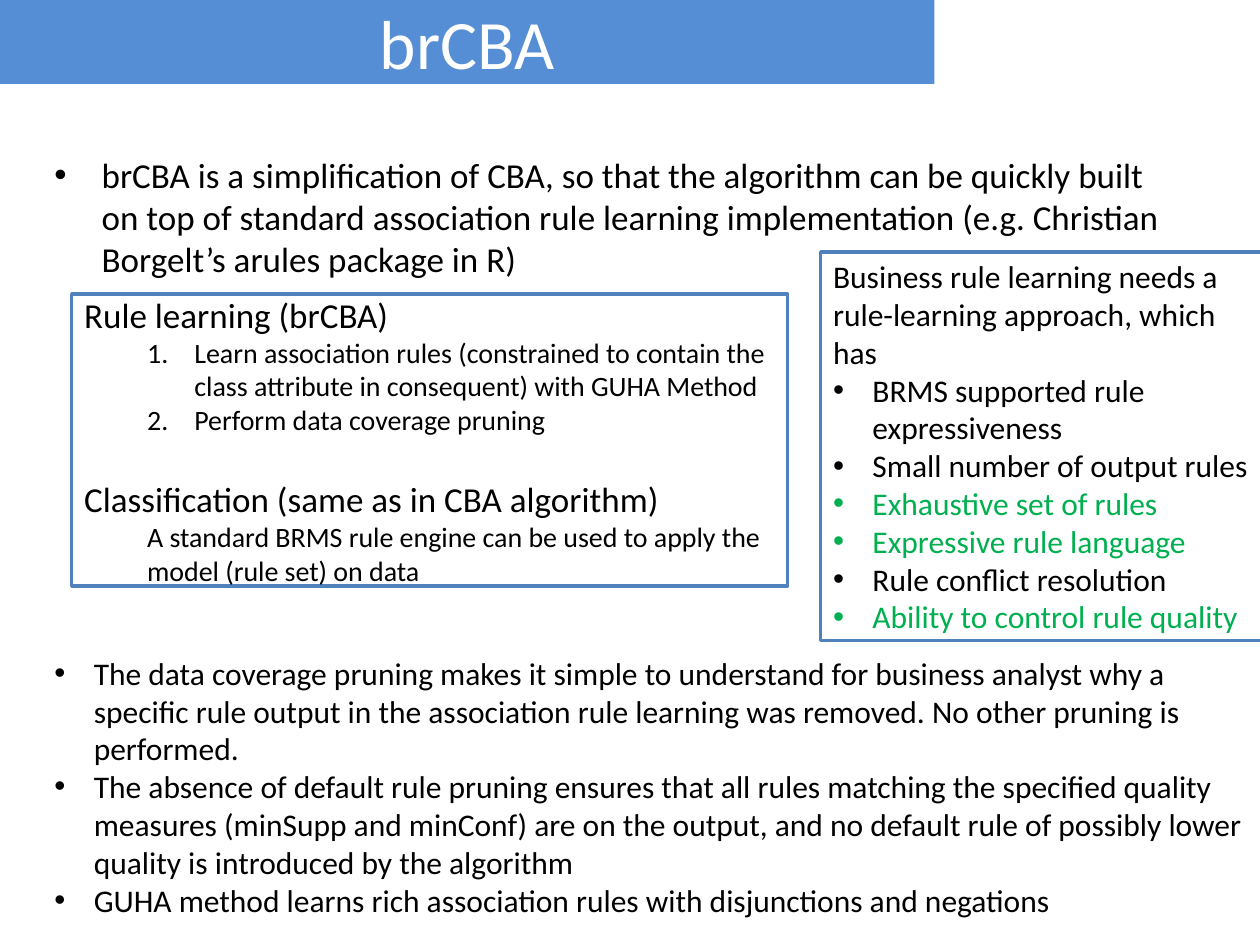
from dataclasses import dataclass

from lxml import etree
from pptx import Presentation
from pptx.dml.color import RGBColor
from pptx.enum import shapes, text
from pptx.oxml import ns
from pptx.util import Pt


@dataclass(frozen=True)
class Theme:
    font: str = "Calibri"
    banner: RGBColor = RGBColor(0x55, 0x8E, 0xD5)
    border: RGBColor = RGBColor(0x4F, 0x81, 0xBD)
    ink: RGBColor = RGBColor(0, 0, 0)
    paper: RGBColor = RGBColor(255, 255, 255)
    met: RGBColor = RGBColor(0x00, 0xB0, 0x50)
    title: float = 39.6
    lead: float = 20
    body: float = 18
    step: float = 16


THEME = Theme()

INTRO = (
    "brCBA is a simplification of CBA, so that the algorithm can be quickly built on top of "
    "standard association rule learning implementation (e.g. Christian Borgelt’s arules package in R)"
)
STEPS = [
    "Learn association rules (constrained to contain the class attribute in consequent) with GUHA Method",
    "Perform data coverage pruning",
]
NEEDS = [
    ("BRMS supported rule expressiveness", THEME.ink),
    ("Small number of output rules", THEME.ink),
    ("Exhaustive set of rules", THEME.met),
    ("Expressive rule language", THEME.met),
    ("Rule conflict resolution", THEME.ink),
    ("Ability to control rule quality", THEME.met),
]
REMARKS = [
    "The data coverage pruning makes it simple to understand for business analyst why a specific rule "
    "output in the association rule learning was removed. No other pruning is performed.",
    "The absence of default rule pruning ensures that all rules matching the specified quality measures "
    "(minSupp and minConf) are on the output, and no default rule of possibly lower quality is "
    "introduced by the algorithm",
    "GUHA method learns rich association rules with disjunctions and negations",
]


def add_paragraph(frame, wording, size, color=THEME.ink, left=0, hanging=0, marker=None, before=0):
    """Fill the frame's first empty paragraph or append one; marker is "•" or "1."."""
    first = frame.paragraphs[0]
    paragraph = frame.add_paragraph() if first.text else first
    paragraph.text = wording
    paragraph.alignment = text.PP_ALIGN.LEFT
    paragraph.space_before = Pt(before)
    properties = paragraph._p.get_or_add_pPr()
    properties.set("marL", str(Pt(left)))
    properties.set("indent", str(Pt(-hanging)))
    if marker == "•":
        etree.SubElement(properties, ns.qn("a:buFont"), typeface="Arial")
        etree.SubElement(properties, ns.qn("a:buChar"), char=marker)
    elif marker:
        etree.SubElement(properties, ns.qn("a:buAutoNum"), type="arabicPeriod")
    set_font(paragraph, size, color)


def set_font(paragraph, size, color):
    paragraph.font.name = THEME.font
    paragraph.font.size = Pt(size)
    paragraph.font.color.rgb = color


def add_title(slide, wording):
    title = slide.shapes.title
    title.left, title.top, title.width, title.height = Pt(0), Pt(0), Pt(534), Pt(48)
    title.fill.solid()
    title.fill.fore_color.rgb = THEME.banner
    frame = title.text_frame
    frame.text = wording
    frame.auto_size = text.MSO_AUTO_SIZE.NONE
    frame.vertical_anchor = text.MSO_ANCHOR.MIDDLE
    heading = frame.paragraphs[0]
    heading.alignment = text.PP_ALIGN.CENTER
    set_font(heading, THEME.title, THEME.paper)


def add_text(slide, left, top, width, height):
    frame = slide.shapes.add_textbox(Pt(left), Pt(top), Pt(width), Pt(height)).text_frame
    frame.word_wrap = True
    return frame


def add_panel(slide, left, top, width, height):
    panel = slide.shapes.add_shape(
        shapes.MSO_SHAPE.RECTANGLE, Pt(left), Pt(top), Pt(width), Pt(height)
    )
    panel.shadow.inherit = False
    panel.fill.solid()
    panel.fill.fore_color.rgb = THEME.paper
    panel.line.color.rgb = THEME.border
    panel.line.width = Pt(2)
    frame = panel.text_frame
    frame.word_wrap = True
    frame.vertical_anchor = text.MSO_ANCHOR.MIDDLE
    return frame


def main():
    deck = Presentation()
    deck.slide_width, deck.slide_height = Pt(720), Pt(540)
    slide = deck.slides.add_slide(deck.slide_layouts.get_by_name("Title Only"))
    add_title(slide, "brCBA")

    intro = add_text(slide, 24, 84, 648, 226)
    add_paragraph(intro, INTRO, THEME.lead, left=27, hanging=27, marker="•")

    phases = add_panel(slide, 41, 168, 409, 167)
    add_paragraph(phases, "Rule learning (brCBA)", THEME.lead)
    for step in STEPS:
        add_paragraph(phases, step, THEME.step, left=63, hanging=27, marker="1.")
    add_paragraph(phases, "Classification (same as in CBA algorithm)", THEME.lead, before=24)
    add_paragraph(
        phases,
        "A standard BRMS rule engine can be used to apply the model (rule set) on data",
        THEME.step,
        left=36,
    )

    remarks = add_text(slide, 24, 370, 699, 204)
    for remark in REMARKS:
        add_paragraph(remarks, remark, THEME.body, left=22.5, hanging=22.5, marker="•")

    needs = add_panel(slide, 469, 144, 252, 222)
    add_paragraph(needs, "Business rule learning needs a rule-learning approach, which has", THEME.body)
    for need, color in NEEDS:
        add_paragraph(needs, need, THEME.body, color, left=22.5, hanging=22.5, marker="•")

    deck.save("out.pptx")


if __name__ == "__main__":
    main()
